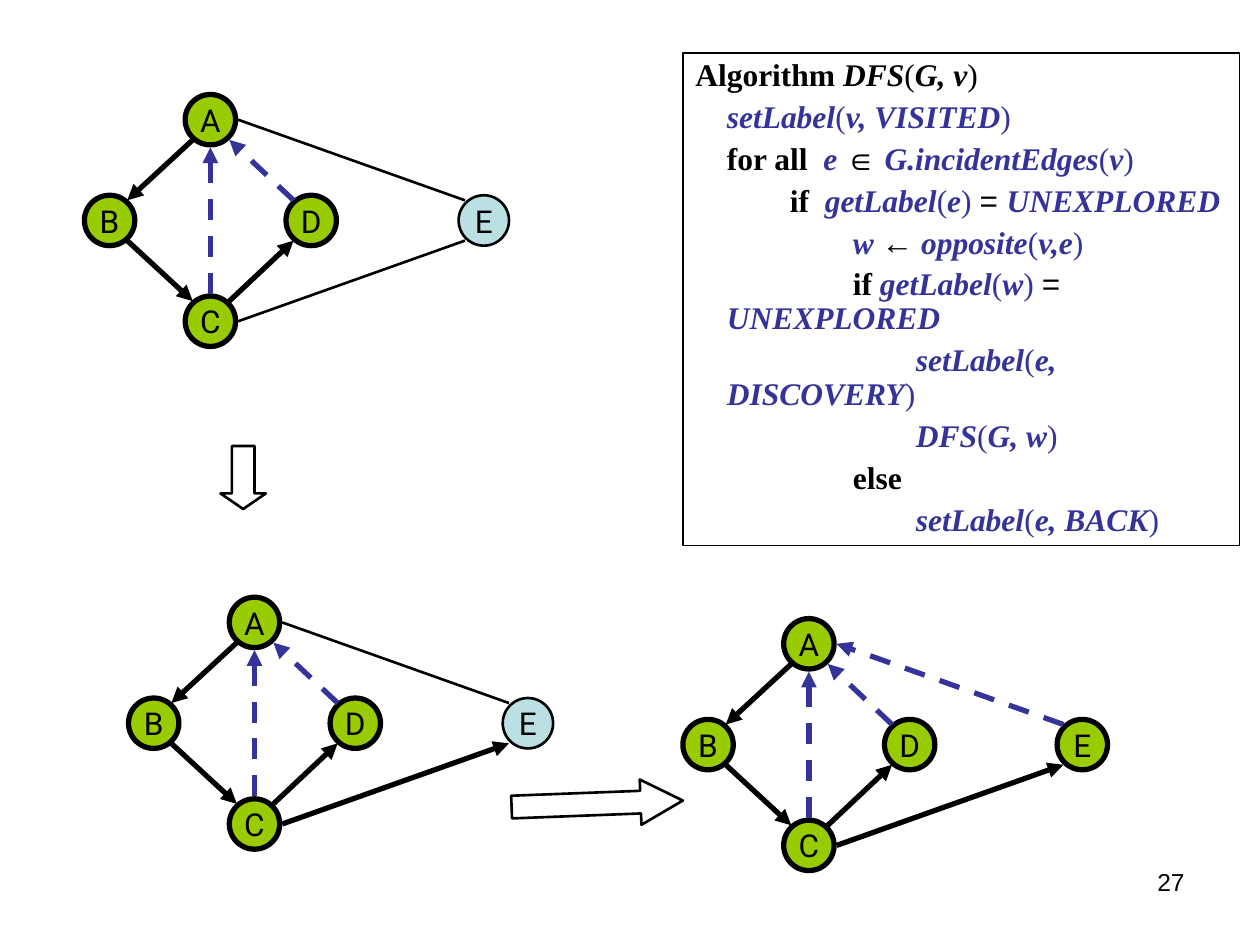
from pptx import Presentation
from pptx.dml.color import RGBColor
from pptx.enum.dml import MSO_LINE
from pptx.enum.shapes import MSO_CONNECTOR, MSO_SHAPE
from pptx.enum.text import MSO_ANCHOR, PP_ALIGN
from pptx.oxml.ns import qn
from pptx.util import Inches, Pt
from lxml import etree

DASH = MSO_LINE.DASH
STRAIGHT = MSO_CONNECTOR.STRAIGHT
OVAL, RECTANGLE, RIGHT_ARROW = MSO_SHAPE.OVAL, MSO_SHAPE.RECTANGLE, MSO_SHAPE.RIGHT_ARROW
TOP, MIDDLE = MSO_ANCHOR.TOP, MSO_ANCHOR.MIDDLE
LEFT, CENTER, RIGHT = PP_ALIGN.LEFT, PP_ALIGN.CENTER, PP_ALIGN.RIGHT

COLORS = {
    "black": "000000",
    "indigo": "333399",
    "visited": "99CC00",
    "unexplored": "BBE0E3",
}


def color(name):
    """Return the named colour."""
    return RGBColor.from_string(COLORS[name])


def add_run(paragraph, text, font="Times New Roman", size=18, fill="black",
            bold=False, italic=False):
    """Append a formatted run to a paragraph."""
    run = paragraph.add_run()
    run.text = text
    run.font.name, run.font.size = font, Pt(size)
    run.font.bold, run.font.italic = bold, italic
    run.font.color.rgb = color(fill)


presentation = Presentation()
presentation.slide_width, presentation.slide_height = Inches(10), Inches(7.5)
slide = presentation.slides.add_slide(presentation.slide_layouts[6])

number_box = slide.shapes.add_textbox(Inches(7.17), Inches(6.83), Inches(2.33), Inches(0.52))
number_box.text_frame.word_wrap = True
number_paragraph = number_box.text_frame.paragraphs[0]
number_paragraph.alignment = RIGHT
add_run(number_paragraph, "27", font="Arial", size=14)

# Graph geometry, measured from the top left corner of each graph
NODE_SIZE = 0.4
NODES = {"D": (1.6, 0.8), "B": (0, 0.8), "A": (0.8, 0), "C": (0.8, 1.6), "E": (2.97, 0.8)}
EDGES = {
    "AB": (0.86, 0.36, 0.34, 0.84),
    "BC": (0.34, 1.16, 0.86, 1.64),
    "CD": (1.15, 1.64, 1.66, 1.16),
    "DA": (1.66, 0.84, 1.15, 0.36),
    "CA": (1, 1.58, 1, 0.42),
    "CE": (1.22, 1.8, 3.02, 1.16),
    "EA": (3.02, 0.84, 1.22, 0.2),
}
# Edge label: line colour, width, dashed, arrowhead
EDGE_STYLES = {
    "unexplored": ("black", 1.5, False, False),
    "discovery": ("black", 3, False, True),
    "back": ("indigo", 3, True, True),
}
COMMON_LABELS = {"AB": "discovery", "BC": "discovery", "CD": "discovery",
                 "DA": "back", "CA": "back"}
# Left, top, label of E, labels of the two edges at E
GRAPHS = [
    (0.67, 0.75, "unexplored", {"CE": "unexplored", "EA": "unexplored"}),
    (1.02, 4.74, "unexplored", {"CE": "discovery", "EA": "unexplored"}),
    (5.42, 4.91, "visited", {"CE": "discovery", "EA": "back"}),
]

for left, top, e_label, e_edges in GRAPHS:
    graph = slide.shapes.add_group_shape()
    for name, (x, y) in NODES.items():
        label = e_label if name == "E" else "visited"
        node = graph.shapes.add_shape(OVAL, Inches(left + x), Inches(top + y),
                                      Inches(NODE_SIZE), Inches(NODE_SIZE))
        node.shadow.inherit = False
        node.fill.solid()
        node.fill.fore_color.rgb = color(label)
        node.line.color.rgb = color("black")
        node.line.width = Pt(3 if label == "visited" else 1.5)
        node.text_frame.word_wrap = False
        node.text_frame.vertical_anchor = MIDDLE
        node_paragraph = node.text_frame.paragraphs[0]
        node_paragraph.alignment = CENTER
        add_run(node_paragraph, name, font="Roboto")
    for name, label in (COMMON_LABELS | e_edges).items():
        x1, y1, x2, y2 = EDGES[name]
        line_color, width, dashed, arrow = EDGE_STYLES[label]
        edge = graph.shapes.add_connector(STRAIGHT, Inches(left + x1), Inches(top + y1),
                                          Inches(left + x2), Inches(top + y2))
        edge.line.color.rgb = color(line_color)
        edge.line.width = Pt(width)
        if dashed:
            edge.line.dash_style = DASH
        if arrow:
            etree.SubElement(edge.line._get_or_add_ln(), qn("a:tailEnd"), type="triangle")
        etree.SubElement(edge._element.spPr, qn("a:effectLst"))

# Step arrows: left, top, width, height, rotation, head length
for left, top, width, height, rotation, head in [
    (1.68, 3.61, 0.5, 0.36, 90, 0.343),
    (4.06, 6.2, 1.36, 0.36, 357.8, 0.932),
]:
    step = slide.shapes.add_shape(RIGHT_ARROW, Inches(left), Inches(top),
                                  Inches(width), Inches(height))
    step.adjustments[0], step.adjustments[1] = 0.5, head
    step.rotation = rotation
    step.shadow.inherit = False
    step.fill.background()
    step.line.color.rgb = color("black")
    step.line.width = Pt(1.5)

STYLES = {
    "keyword": {"bold": True},
    "title": {"bold": True, "italic": True},
    "plain": {},
    "name": {"fill": "indigo", "bold": True, "italic": True},
    "mark": {"fill": "indigo"},
    "symbol": {"font": "Arial"},
}
# Each line: tabs in front, then pairs of style and text
ALGORITHM = [
    (0, [("keyword", "Algorithm "), ("title", "DFS"), ("plain", "("), ("title", "G, v"),
         ("plain", ")")]),
    (1, [("name", "setLabel"), ("mark", "("), ("name", "v, VISITED"), ("mark", ")")]),
    (0, [("keyword", "for all  "), ("name", "e "), ("symbol", "∈"),
         ("name", " G.incidentEdges"), ("mark", "("), ("name", "v"), ("mark", ")")]),
    (1, [("keyword", "if  "), ("name", "getLabel"), ("mark", "("), ("name", "e"),
         ("mark", ") "), ("symbol", "= "), ("name", "UNEXPLORED")]),
    (2, [("name", "w "), ("symbol", "←"), ("name", " opposite"), ("mark", "("),
         ("name", "v,e"), ("mark", ")")]),
    (2, [("keyword", "if "), ("name", "getLabel"), ("mark", "("), ("name", "w"),
         ("mark", ") "), ("symbol", "= "), ("name", "UNEXPLORED")]),
    (3, [("name", "setLabel"), ("mark", "("), ("name", "e, DISCOVERY"), ("mark", ")")]),
    (3, [("name", "DFS"), ("mark", "("), ("name", "G, w"), ("mark", ")")]),
    (2, [("keyword", "else")]),
    (3, [("name", "setLabel"), ("mark", "("), ("name", "e, BACK"), ("mark", ")")]),
]
HEADER_LINES = 2

algorithm_box = slide.shapes.add_shape(RECTANGLE, Inches(5.42), Inches(0.42),
                                       Inches(4.42), Inches(3.91))
algorithm_box.shadow.inherit = False
algorithm_box.fill.background()
algorithm_box.line.color.rgb = color("black")
algorithm_box.line.width = Pt(0.74)
text_frame = algorithm_box.text_frame
text_frame.word_wrap = True
text_frame.vertical_anchor = TOP
for index, (tabs, runs) in enumerate(ALGORITHM):
    paragraph = text_frame.paragraphs[0] if index == 0 else text_frame.add_paragraph()
    paragraph.alignment = LEFT
    paragraph.line_spacing = 0.9
    paragraph.space_before = Pt(4.5)
    properties = paragraph._p.get_or_add_pPr()
    first_stop = 0.25
    if index >= HEADER_LINES:
        paragraph.level = 1
        properties.set("marL", str(Inches(0.25)))
        properties.set("indent", "0")
        first_stop = 0.5
    tab_list = etree.SubElement(properties, qn("a:tabLst"))
    for stop in [0] + [first_stop + 0.25 * step for step in range(7)]:
        etree.SubElement(tab_list, qn("a:tab"), pos=str(Inches(stop)), algn="l")
    if tabs:
        add_run(paragraph, "\t" * tabs)
    for style, text in runs:
        add_run(paragraph, text, **STYLES[style])

presentation.save("out.pptx")
